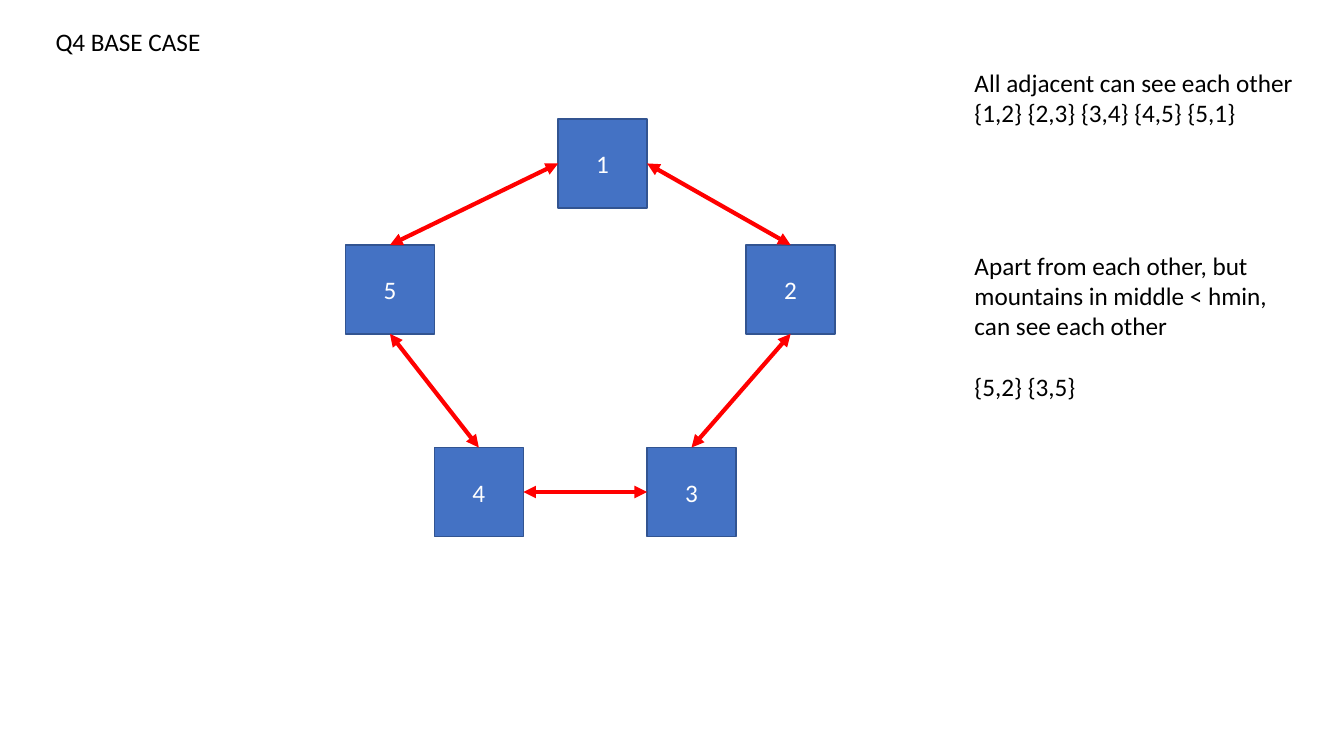
from lxml.etree import SubElement
from pptx import Presentation
from pptx.dml.color import RGBColor
from pptx.enum.shapes import MSO_CONNECTOR, MSO_SHAPE
from pptx.enum.text import MSO_ANCHOR, MSO_AUTO_SIZE, PP_ALIGN
from pptx.oxml.ns import qn
from pptx.util import Pt

COLORS = {"square": "4472C4", "border": "325491", "arrow": "FF0000",
          "label": "FFFFFF", "text": "000000"}
FONT = {"name": "Calibri", "size": Pt(18)}
TOP, LEFT, BOTTOM, RIGHT = range(4)


def apply_format(target, values):
    for name, value in values.items():
        setattr(target, name, value)


class SlideBuilder:
    def __init__(self, slide, colors, font):
        self.slide = slide
        self.colors = colors
        self.font = font

    def color(self, name):
        return RGBColor.from_string(self.colors[name])

    def fill_paragraph(self, paragraph, text, color, **paragraph_format):
        paragraph.text = text
        apply_format(paragraph, paragraph_format)
        for run in paragraph.runs:
            apply_format(run.font, self.font)
            run.font.color.rgb = self.color(color)

    def square(self, label, left, top, size):
        shape = self.slide.shapes.add_shape(
            MSO_SHAPE.RECTANGLE, Pt(left), Pt(top), Pt(size), Pt(size))
        shape.shadow.inherit = False
        shape.fill.solid()
        shape.fill.fore_color.rgb = self.color("square")
        shape.line.color.rgb = self.color("border")
        shape.line.width = Pt(1)
        shape.text_frame.vertical_anchor = MSO_ANCHOR.MIDDLE
        self.fill_paragraph(shape.text_frame.paragraphs[0], label, "label",
                            alignment=PP_ALIGN.CENTER)
        return shape

    def double_arrow(self, start, start_side, end, end_side):
        connector = self.slide.shapes.add_connector(
            MSO_CONNECTOR.STRAIGHT, Pt(0), Pt(0), Pt(0), Pt(0))
        connector.begin_connect(start, start_side)
        connector.end_connect(end, end_side)
        connector.line.color.rgb = self.color("arrow")
        connector.line.width = Pt(3)
        properties = connector.element.spPr
        line = properties.find(qn("a:ln"))
        for tag in ("a:headEnd", "a:tailEnd"):
            SubElement(line, qn(tag), type="triangle")
        SubElement(properties, qn("a:effectLst"))

    def text_box(self, box, paragraphs, wrap=False):
        shape = self.slide.shapes.add_textbox(*map(Pt, box))
        frame = shape.text_frame
        apply_format(frame, {"word_wrap": wrap,
                             "auto_size": MSO_AUTO_SIZE.SHAPE_TO_FIT_TEXT})
        for index, (text, space_before) in enumerate(paragraphs):
            paragraph = frame.add_paragraph() if index else frame.paragraphs[0]
            self.fill_paragraph(paragraph, text, "text",
                                space_before=Pt(space_before))


presentation = Presentation()
presentation.slide_width = Pt(960)
presentation.slide_height = Pt(540)
slide = presentation.slides.add_slide(presentation.slide_layouts[6])
builder = SlideBuilder(slide, COLORS, FONT)

MOUNTAIN_SIZE = 63.5
MOUNTAIN_POSITIONS = [(398.7, 85), (533, 175), (462.2, 319.7),
                      (310.3, 319.7), (246.8, 175)]
mountains = [builder.square(str(number), left, top, MOUNTAIN_SIZE)
             for number, (left, top) in enumerate(MOUNTAIN_POSITIONS, 1)]

SIGHT_LINES = [(1, RIGHT, 2, TOP), (2, BOTTOM, 3, TOP), (4, RIGHT, 3, LEFT),
               (5, BOTTOM, 4, TOP), (1, LEFT, 5, TOP)]
for start, start_side, end, end_side in SIGHT_LINES:
    builder.double_arrow(mountains[start - 1], start_side,
                         mountains[end - 1], end_side)

NOTES_LEFT = 689
builder.text_box((32.6, 15.4, 141, 29), [("Q4 BASE CASE", 0)], wrap=True)
builder.text_box((NOTES_LEFT, 44.6, 245, 51),
                 [("All adjacent can see each other\v"
                   "{1,2} {2,3} {3,4} {4,5} {5,1}", 0)])
builder.text_box((NOTES_LEFT, 175, 226, 116.6),
                 [("Apart from each other, but", 0),
                  ("mountains in middle < hmin,", 0),
                  ("can see each other", 0),
                  ("{5,2} {3,5}", 21.6)])

presentation.save("out.pptx")
